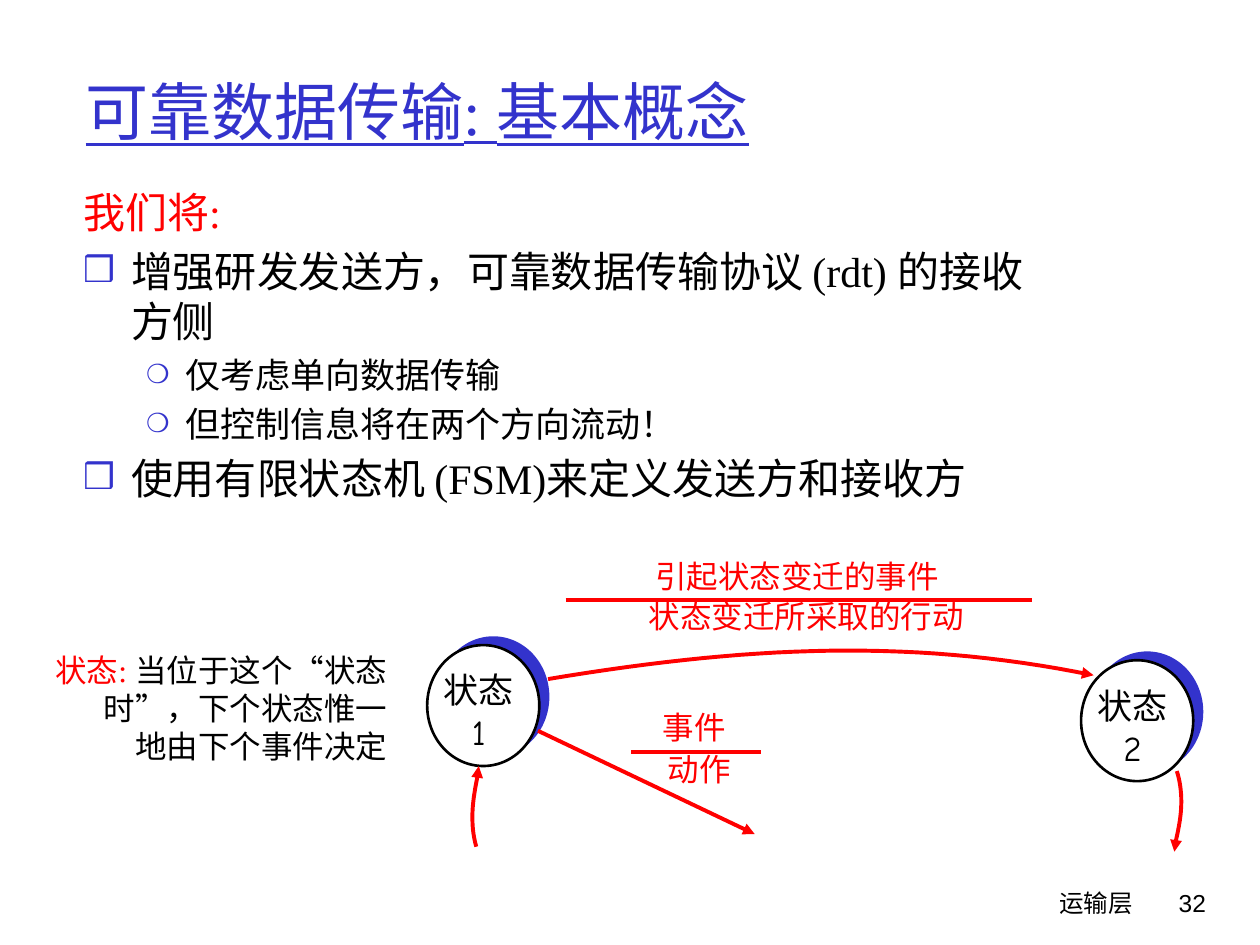
import dataclasses
import lxml.etree
import pptx
import pptx.util
import pptx.dml.color
import pptx.enum.shapes
import pptx.enum.text
import pptx.oxml.ns

COLS, ROWS = 100, 75  # grid cells of a tenth of an inch
KIND = pptx.enum.shapes.MSO_SHAPE
ALIGN = pptx.enum.text.PP_ALIGN
FIT = pptx.enum.text.MSO_AUTO_SIZE


@dataclasses.dataclass(frozen=True)
class Theme:
    blue: str = "3333CC"
    red: str = "FF0000"
    black: str = "000000"
    white: str = "FFFFFF"
    serif: str = "Times New Roman"
    comic: str = "Comic Neue"
    sans: str = "Arial"
    title: int = 36
    body: int = 24
    sub: int = 20
    label: int = 18
    foot: int = 14
    edge: float = 1.5
    arrow: float = 2.25


T = Theme()


def cell(n):
    return pptx.util.Inches(n / 10)


def rgb(code):
    return pptx.dml.color.RGBColor.from_string(code)


def place(shape, x, y, w, h):
    shape.left, shape.top, shape.width, shape.height = map(cell, (x, y, w, h))


def node(parent, tag, **attrs):
    name = pptx.oxml.ns.qn("a:" + tag)
    return lxml.etree.SubElement(parent, name, attrs)


def write(para, text, size=T.label, font=T.comic, color=T.black, under=None):
    run = para.add_run()
    run.text = text
    run.font.size = pptx.util.Pt(size)
    run.font.name = font
    run.font.color.rgb = rgb(color)
    run.font.underline = under


def box(parent, x, y, w, h, lines, align=ALIGN.CENTER, wrap=False, **form):
    shape = parent.add_textbox(*map(cell, (x, y, w, h)))
    frame = shape.text_frame
    frame.word_wrap = wrap
    for i, line in enumerate(lines):
        para = frame.add_paragraph() if i else frame.paragraphs[0]
        para.alignment = align
        write(para, line, **form)
    return shape


def indent(para, left, first):
    props = para._p.get_or_add_pPr()
    props.set("marL", str(cell(left)))
    props.set("indent", str(cell(first)))
    return props


def item(para, text, mark, level=0, color=T.black):
    para.level = level
    left, first, size, share = ((3.8, -3.8, T.body, 85),
                                (8.1, -3.1, T.sub, 75))[level]
    props = indent(para, left, first)
    if mark:
        node(node(props, "buClr"), "srgbClr", val=T.blue)
        node(props, "buSzPct", val=str(share * 1000))
        node(props, "buChar", char=mark)
    else:
        node(props, "buNone")
    write(para, text, size=size, font=T.serif, color=color)


def stroke(shape, tip):
    shape.line.color.rgb = rgb(T.red)
    shape.line.width = pptx.util.Pt(T.arrow)
    props = shape.element.spPr
    if tip:
        node(props.find(pptx.oxml.ns.qn("a:ln")), "tailEnd", type="triangle")
    if props.find(pptx.oxml.ns.qn("a:effectLst")) is None:
        node(props, "effectLst")


def line(parent, x1, y1, x2, y2, tip=False):
    kind = pptx.enum.shapes.MSO_CONNECTOR.STRAIGHT
    stroke(parent.add_connector(kind, *map(cell, (x1, y1, x2, y2))), tip)


def curve(parent, a, b, c, d, steps=30):
    def point(t):
        u = 1 - t
        return tuple(cell(u**3 * p + 3 * u * u * t * q + 3 * u * t * t * r + t**3 * s)
                     for p, q, r, s in zip(a, b, c, d))

    build = parent.build_freeform(*point(0))
    build.add_line_segments([point(i / steps) for i in range(1, steps + 1)], close=False)
    shape = build.convert_to_shape()
    shape.fill.background()
    shape.shadow.inherit = False
    stroke(shape, True)


def disc(parent, x, y, fill, edge=None):
    shape = parent.add_shape(KIND.OVAL, *map(cell, (x, y, 8.9, 9.6)))
    shape.shadow.inherit = False
    shape.fill.solid()
    shape.fill.fore_color.rgb = rgb(fill)
    if edge:
        shape.line.color.rgb = rgb(edge)
        shape.line.width = pptx.util.Pt(T.edge)
    else:
        shape.line.fill.background()


def state(shapes, x, y, num):
    group = shapes.add_group_shape().shapes
    disc(group, x + 0.8, y - 0.7, T.blue)
    disc(group, x, y, T.white, T.black)
    box(group, x + 0.3, y + 1.4, 7.6, 7.7, ["状态", num], size=T.sub)


def head(slide):
    title = slide.shapes.title
    place(title, 5.8, 2.5, 85, 12.5)
    title.text_frame.vertical_anchor = pptx.enum.text.MSO_ANCHOR.MIDDLE
    title.text_frame.auto_size = FIT.NONE
    para = title.text_frame.paragraphs[0]
    para.alignment = ALIGN.LEFT
    write(para, "可靠数据传输: 基本概念", size=T.title, font=T.serif,
          color=T.blue, under=True)


def body(slide):
    shape = slide.placeholders[1]
    place(shape, 5.6, 14.3, 79.4, 36.7)
    frame = shape.text_frame
    frame.auto_size = FIT.NONE
    first = frame.paragraphs[0]
    first.space_before = pptx.util.Pt(0)
    item(first, "我们将:", None, color=T.red)
    for text, mark, level in (
            ("增强研发发送方，可靠数据传输协议 (rdt) 的接收方侧", "❒", 0),
            ("仅考虑单向数据传输", "❍", 1),
            ("但控制信息将在两个方向流动！", "❍", 1),
            ("使用有限状态机 (FSM)来定义发送方和接收方", "❒", 0)):
        item(frame.add_paragraph(), text, mark, level)


def note(shapes):
    shape = box(shapes, 1.4, 51.2, 30.3, 13.5, ["状态: "], align=ALIGN.RIGHT,
                wrap=True, font=T.serif, color=T.red)
    para = shape.text_frame.paragraphs[0]
    indent(para, 3.8, -3.8)
    for text, font in (("当位于这个", T.serif), ("“", T.comic), ("状态时", T.serif),
                       ("”", T.comic), ("，下个状态惟一地由下个事件决定", T.serif)):
        write(para, text, font=font)


def graph(shapes):
    state(shapes, 33.9, 51.2, "1")
    curve(shapes, (43.5, 53.9), (59.7, 51.2), (72.6, 50.7), (86.8, 53.6))
    state(shapes, 85.8, 52.4, "2")
    box(shapes, 51, 43.7, 24.5, 4, ["引起状态变迁的事件"], color=T.red)
    box(shapes, 50.5, 46.9, 27, 4, ["状态变迁所采取的行动"], color=T.red)
    line(shapes, 44.9, 47.6, 81.9, 47.6)
    note(shapes)
    curve(shapes, (37.8, 67.2), (37, 64.4), (38, 61.8), (38, 60.8))
    curve(shapes, (93.4, 61.2), (94.3, 64.1), (93.2, 66.6), (93.2, 67.6))
    line(shapes, 42.7, 58, 59.9, 66.2, tip=True)
    group = shapes.add_group_shape().shapes
    box(group, 51.6, 55.7, 7, 4, ["事件"], color=T.red)
    box(group, 52, 59, 7, 4, ["动作"], color=T.red)
    line(group, 50.1, 59.7, 60.4, 59.7)


def foot(shapes):
    for x, w, text, font in ((59.2, 31.7, "运输层", T.comic), (89.3, 7.4, "32", T.sans)):
        box(shapes, x, 70, w, 5, [text], align=ALIGN.RIGHT, wrap=True,
            size=T.foot, font=font)


def main():
    deck = pptx.Presentation()
    deck.slide_width, deck.slide_height = cell(COLS), cell(ROWS)
    slide = deck.slides.add_slide(deck.slide_layouts[1])
    foot(slide.shapes)
    head(slide)
    body(slide)
    graph(slide.shapes)
    deck.save("out.pptx")


if __name__ == "__main__":
    main()
